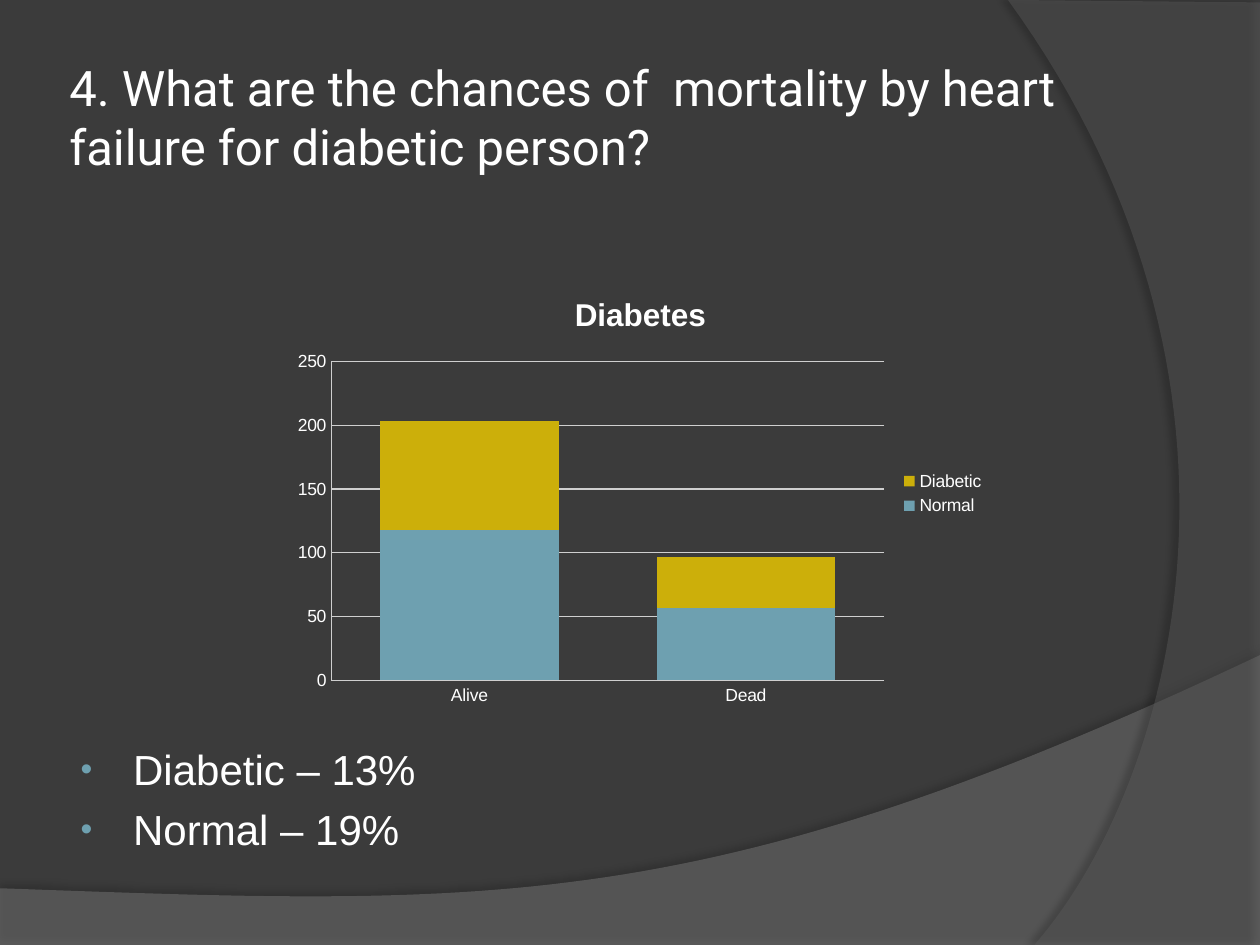
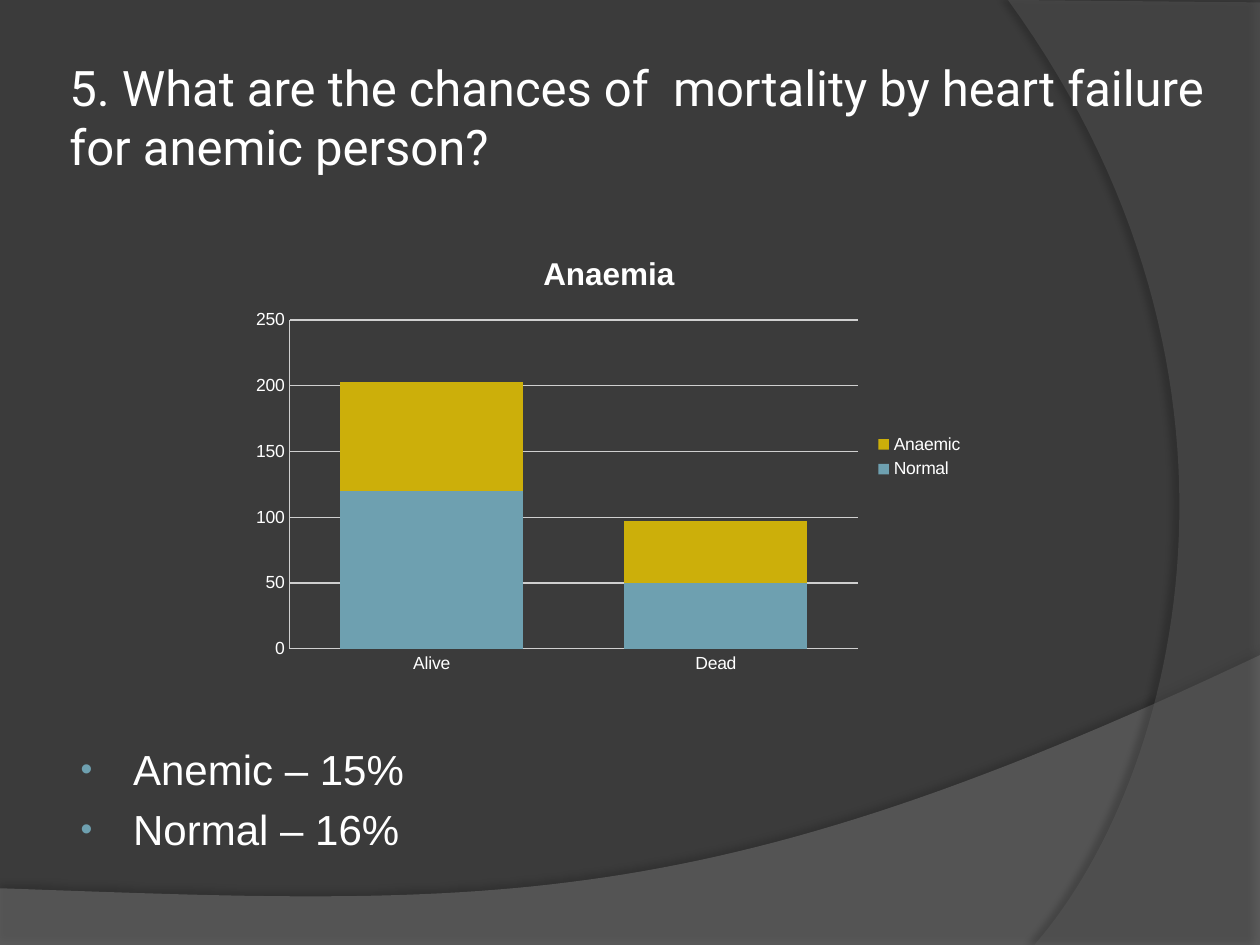
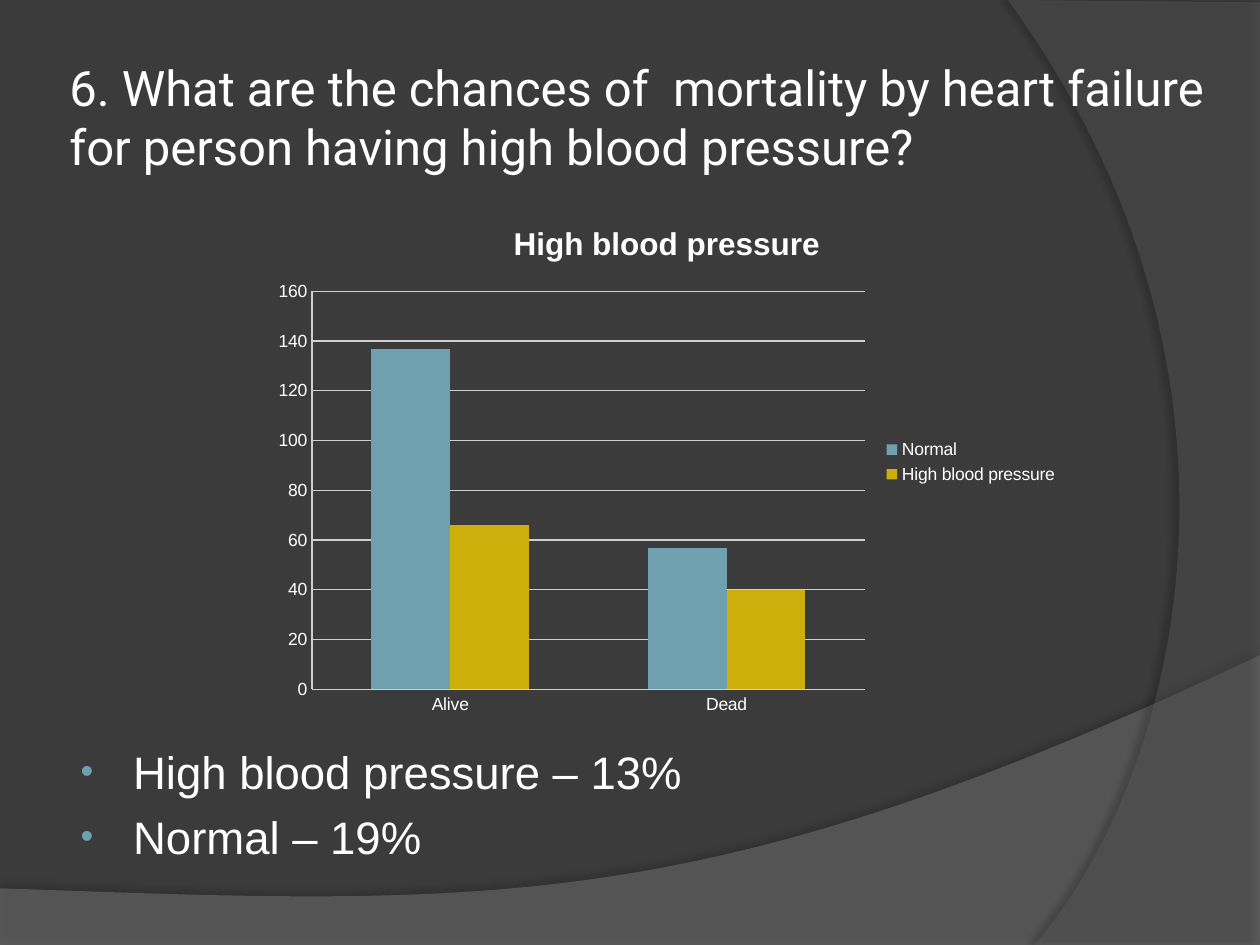
from dataclasses import dataclass

from lxml import etree
from pptx import Presentation
from pptx.chart.data import CategoryChartData
from pptx.dml.color import RGBColor
from pptx.enum.chart import XL_CHART_TYPE as ChartType
from pptx.enum.chart import XL_LEGEND_POSITION as LegendPosition
from pptx.enum.chart import XL_TICK_MARK as TickMark
from pptx.enum.text import MSO_ANCHOR as Anchor
from pptx.enum.text import MSO_AUTO_SIZE as AutoSize
from pptx.enum.text import PP_ALIGN as Align
from pptx.oxml.ns import qn
from pptx.util import Pt

WIDTH, HEIGHT = 720, 540
BACKDROP, WHITE, GRID = "3B3B3B", "FFFFFF", "CFCFCF"
BLUE, GOLD = "6EA0B0", "CCAF0A"
TITLE_FONT, BODY_FONT = "Roboto", "Arial"
TITLE_ONLY = 5
CHART_ROOM = 299
OUTCOMES = ("Alive", "Dead")


@dataclass
class Question:
    """Content of one question slide, with boxes as left, top, width, height."""
    title: str
    title_box: tuple
    condition: str
    chart_type: ChartType
    gap: int
    counts: dict
    chart_box: tuple
    rates: tuple
    rates_box: tuple
    rate_size: int = 24


QUESTIONS = (
    Question(
        "4. What are the chances of  mortality by heart failure for diabetic person?",
        (36, 21.6, 654, 90), "Diabetes", ChartType.COLUMN_STACKED, 55,
        {"Normal": (118, 57), "Diabetic": (85, 40)}, (162, 156, 408, 252),
        ("Diabetic – 13%", "Normal – 19%"), (36, 126, 588, 390)),
    Question(
        "5. What are the chances of  mortality by heart failure for anemic person?",
        (36, 21.6, 660, 90), "Anaemia", ChartType.COLUMN_STACKED, 55,
        {"Normal": (120, 50), "Anaemic": (83, 47)}, (138, 132, 420, 258),
        ("Anemic – 15%", "Normal – 16%"), (36, 126, 594, 384)),
    Question(
        "6. What are the chances of  mortality by heart failure for person having high blood pressure?",
        (36, 21.6, 660, 90), "High blood pressure", ChartType.COLUMN_CLUSTERED, 150,
        {"Normal": (137, 57), "High blood pressure": (66, 40)}, (150, 114, 462, 300),
        ("High blood pressure – 13%", "Normal – 19%"), (36, 126, 588, 384), 26),
)


def rgb(code):
    """Return the colour of a hex string."""
    return RGBColor.from_string(code)


def points(box):
    """Return the lengths of a box in points."""
    return [Pt(length) for length in box]


def set_font(font, name, size, bold=False):
    """Set a white font of the given name and size."""
    font.name, font.size, font.bold = name, Pt(size), bold
    font.color.rgb = rgb(WHITE)


def add_child(parent, tag, **attributes):
    """Append a drawing element and return it."""
    child = etree.SubElement(parent, qn(tag))
    for name, value in attributes.items():
        child.set(name, str(value))
    return child


def curve(start, pull_out, pull_in, end, steps=60):
    """Return points along a cubic curve."""
    def at(t):
        weights = (1 - t) ** 3, 3 * t * (1 - t) ** 2, 3 * t * t * (1 - t), t ** 3
        return tuple(sum(w * p[axis] for w, p in zip(weights, (start, pull_out, pull_in, end)))
                     for axis in (0, 1))
    return [at(step / steps) for step in range(steps + 1)]


def add_band(slide, outline, color, opacity, shadow_opacity, distance, direction):
    """Move a translucent band with a soft shadow behind the layout's parts."""
    first, *rest = [tuple(points(vertex)) for vertex in outline]
    builder = slide.shapes.build_freeform(*first)
    builder.add_line_segments(rest, close=True)
    band = builder.convert_to_shape()
    band.fill.solid()
    band.fill.fore_color.rgb = rgb(color)
    band.line.fill.background()
    properties = band.element.spPr
    fill = properties.find(qn("a:solidFill"))[0]
    add_child(fill, "a:alpha", val=opacity * 1000)
    effects = add_child(properties, "a:effectLst")
    shadow = add_child(effects, "a:outerShdw", blurRad=Pt(4), dist=Pt(distance),
                       dir=direction * 60000, algn="ctr", rotWithShape=0)
    shade = add_child(shadow, "a:srgbClr", val="000000")
    add_child(shade, "a:alpha", val=shadow_opacity * 1000)
    return band


def decorate_layout(slide):
    """Give the slide's layout its dark backdrop and the two curved bands."""
    layout = slide.slide_layout
    layout.background.fill.solid()
    layout.background.fill.fore_color.rgb = rgb(BACKDROP)
    hill = [(0, HEIGHT), (WIDTH, HEIGHT)]
    hill += curve((WIDTH, 374.4), (402.5, 524.9), (281.5, 517.7), (0, 507.6))
    arc = [(WIDTH, 1.4), (WIDTH, HEIGHT)]
    arc += curve((591.1, HEIGHT), (673.2, 445.7), (733, 216), (576, 0))
    bands = (add_band(slide, hill, "7F7F7F", 45, 35, 3.5, 270),
             add_band(slide, arc, "5E5E5E", 40, 45, 4, 180))
    for position, band in enumerate(bands, start=2):
        layout.shapes.element.insert(position, band.element)


def place_title(slide, text, box):
    """Place and format the question in the title placeholder."""
    title = slide.shapes.title
    title.left, title.top, title.width, title.height = points(box)
    frame = title.text_frame
    frame.text = text
    frame.word_wrap, frame.auto_size = True, AutoSize.NONE
    frame.vertical_anchor = Anchor.MIDDLE
    frame.margin_left = frame.margin_right = frame.margin_top = frame.margin_bottom = Pt(3.6)
    question = frame.paragraphs[0]
    question.alignment = Align.LEFT
    set_font(question.font, TITLE_FONT, 28)


def add_rates(slide, rates, box, size):
    """List the mortality rates below the room kept for the chart."""
    frame = slide.shapes.add_textbox(*points(box)).text_frame
    frame.word_wrap = True
    frame.margin_top = Pt(CHART_ROOM)
    frame.text = "\n".join(rates)
    for rate in frame.paragraphs:
        set_font(rate.font, BODY_FONT, size)
        rate.space_after = Pt(round(size * 0.23, 1))
        settings = rate._p.get_or_add_pPr()
        settings.set("marL", str(Pt(33)))
        settings.set("indent", str(Pt(-30)))
        bullet = [etree.Element(qn(tag)) for tag in ("a:buClr", "a:buSzPct", "a:buFont", "a:buChar")]
        tint, scale, face, mark = bullet
        add_child(tint, "a:srgbClr", val=BLUE)
        scale.set("val", "80000")
        face.set("typeface", BODY_FONT)
        mark.set("char", "•")
        settings.find(qn("a:defRPr")).getprevious().addnext(bullet[0])
        for before, after in zip(bullet, bullet[1:]):
            before.addnext(after)


def add_counts(slide, question):
    """Chart the counts of the living and the dead."""
    data = CategoryChartData()
    data.categories = OUTCOMES
    for group, counts in question.counts.items():
        data.add_series(group, counts)
    chart = slide.shapes.add_chart(question.chart_type, *points(question.chart_box), data).chart
    set_font(chart.font, BODY_FONT, 10)

    heading = chart.chart_title.text_frame
    heading.text = question.condition
    set_font(heading.paragraphs[0].font, BODY_FONT, 18, bold=True)
    chart.chart_title.include_in_layout = False

    chart.has_legend = True
    chart.legend.position = LegendPosition.RIGHT
    chart.legend.include_in_layout = False

    chart.value_axis.has_major_gridlines = True
    lines = [chart.value_axis.major_gridlines.format.line]
    for axis in (chart.category_axis, chart.value_axis):
        axis.major_tick_mark = axis.minor_tick_mark = TickMark.NONE
        lines.append(axis.format.line)
    for line in lines:
        line.color.rgb = rgb(GRID)
        line.width = Pt(0.75)

    plot = chart.plots[0]
    plot.gap_width = question.gap
    plot.overlap = 100 if question.chart_type == ChartType.COLUMN_STACKED else 0
    plot.vary_by_categories = False
    for group, color in zip(plot.series, (BLUE, GOLD)):
        group.format.fill.solid()
        group.format.fill.fore_color.rgb = rgb(color)


def add_question(slide, question):
    """Fill one question slide."""
    place_title(slide, question.title, question.title_box)
    add_rates(slide, question.rates, question.rates_box, question.rate_size)
    add_counts(slide, question)


def main():
    """Build the deck."""
    deck = Presentation()
    deck.slide_width, deck.slide_height = Pt(WIDTH), Pt(HEIGHT)
    slides = [deck.slides.add_slide(deck.slide_layouts[TITLE_ONLY]) for _ in QUESTIONS]
    decorate_layout(slides[0])
    for slide, question in zip(slides, QUESTIONS):
        add_question(slide, question)
    deck.save("out.pptx")


if __name__ == "__main__":
    main()
